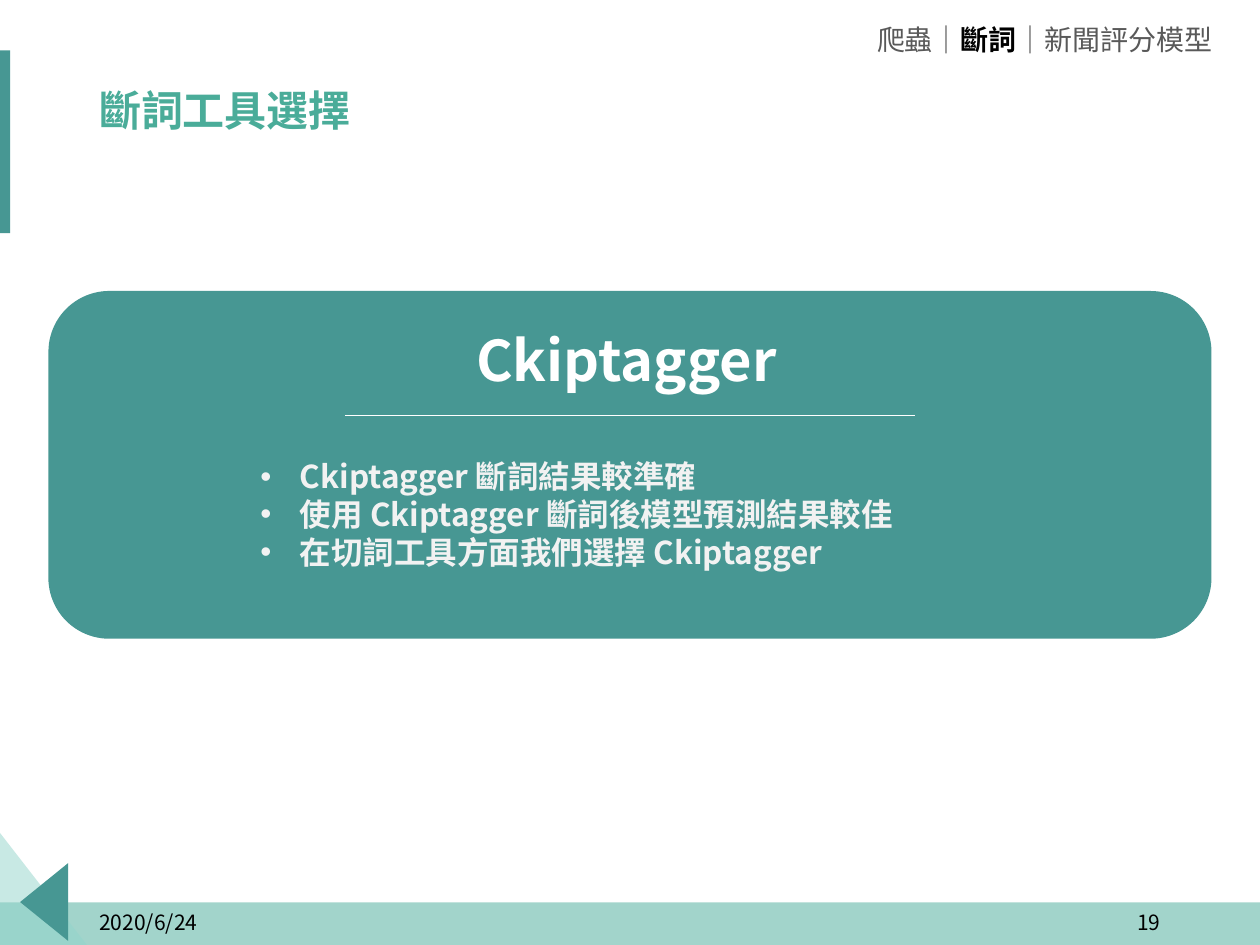
from typing import NamedTuple

from lxml import etree
from pptx import Presentation
from pptx.dml.color import RGBColor
from pptx.enum.shapes import MSO_CONNECTOR, MSO_SHAPE
from pptx.enum.text import MSO_ANCHOR, PP_ALIGN
from pptx.oxml.ns import qn
from pptx.util import Pt

RECTANGLE, ROUNDED = MSO_SHAPE.RECTANGLE, MSO_SHAPE.ROUNDED_RECTANGLE
LEFT, RIGHT = PP_ALIGN.LEFT, PP_ALIGN.RIGHT
TOP, MIDDLE = MSO_ANCHOR.TOP, MSO_ANCHOR.MIDDLE

SLIDE_WIDTH, SLIDE_HEIGHT = 720, 540
MARGIN = 49.7
SC, TC = "Noto Sans CJK SC", "Noto Sans CJK TC"
TEAL, GREEN, MINT = "479793", "4AAC99", "92D4CB"
WHITE, OFF_WHITE, GRAY, BLACK = "FFFFFF", "F2F2F2", "595959", "000000"


class Box(NamedTuple):
    left: float
    top: float
    width: float
    height: float


class Run(NamedTuple):
    text: str
    font: str = SC
    color: str = GRAY
    bold: bool = False


class Triangle(NamedTuple):
    points: list[tuple[float, float]]
    color: str
    alpha: int = 100


BAND = Box(0, 515.7, SLIDE_WIDTH, 24.3)
SIDE_BAR = Box(0, 28.8, 5.8, 104.4)
CARD = Box(27.7, 166.3, 664.6, 198.7)
TRIANGLES = [
    Triangle([(0, 476), (MARGIN, SLIDE_HEIGHT), (0, SLIDE_HEIGHT)], MINT, 50),
    Triangle([(39, 493.2), (39, 537.7), (11.5, 515.5)], TEAL),
]
BREADCRUMB = [
    Run("爬蟲", TC),
    Run("｜"),
    Run("斷詞", TC, BLACK, True),
    Run("｜"),
    Run("新聞評分模型", TC),
]
FINDINGS = [
    "Ckiptagger 斷詞結果較準確",
    "使用 Ckiptagger 斷詞後模型預測結果較佳",
    "在切詞工具方面我們選擇 Ckiptagger",
]


def rgb(color: str) -> RGBColor:
    return RGBColor.from_string(color)


def paint(shape, color: str, alpha: int = 100) -> None:
    shape.shadow.inherit = False
    shape.line.fill.background()
    shape.fill.solid()
    shape.fill.fore_color.rgb = rgb(color)
    if alpha < 100:
        color_element = shape.fill._xPr.find(f".//{qn('a:srgbClr')}")
        etree.SubElement(color_element, qn("a:alpha"), val=str(alpha * 1000))


def add_block(slide, preset, box: Box, color: str, alpha: int = 100):
    shape = slide.shapes.add_shape(preset, *map(Pt, box))
    paint(shape, color, alpha)
    return shape


def add_triangle(slide, triangle: Triangle) -> None:
    start, *others = [(Pt(x), Pt(y)) for x, y in triangle.points]
    builder = slide.shapes.build_freeform(*start)
    builder.add_line_segments(others, close=True)
    paint(builder.convert_to_shape(), triangle.color, triangle.alpha)


def add_rule(slide, left: float, right: float, y: float) -> None:
    line = slide.shapes.add_connector(
        MSO_CONNECTOR.STRAIGHT, Pt(left), Pt(y), Pt(right), Pt(y))
    line.line.color.rgb = rgb(WHITE)
    line.line.width = Pt(0.5)
    etree.SubElement(line._element.spPr, qn("a:effectLst"))


def add_bullet(paragraph, indent: float) -> None:
    properties = paragraph._p.get_or_add_pPr()
    properties.set("marL", str(Pt(indent)))
    properties.set("indent", str(-Pt(indent)))
    etree.SubElement(properties, qn("a:buFont"), typeface="Arial")
    etree.SubElement(properties, qn("a:buChar"), char="•")


def add_text(slide, box: Box, paragraphs: list[list[Run]], *, size: float,
             align=LEFT, anchor=TOP, wrap: bool = True, indent: float = 0,
             line_spacing: float = 1.0, tracking: float = 0) -> None:
    """Write one paragraph per list of runs; an indent makes them bullets."""
    frame = slide.shapes.add_textbox(*map(Pt, box)).text_frame
    frame.word_wrap = wrap
    frame.vertical_anchor = anchor
    for index, runs in enumerate(paragraphs):
        paragraph = frame.add_paragraph() if index else frame.paragraphs[0]
        paragraph.alignment = align
        paragraph.line_spacing = line_spacing
        if indent:
            add_bullet(paragraph, indent)
        for item in runs:
            run = paragraph.add_run()
            run.text = item.text
            run.font.size = Pt(size)
            run.font.bold = item.bold
            run.font.name = item.font
            run.font.color.rgb = rgb(item.color)
            properties = run.font._element
            etree.SubElement(properties, qn("a:ea"), typeface=item.font)
            if tracking:
                properties.set("spc", str(round(tracking * 100)))


def main() -> None:
    presentation = Presentation()
    presentation.slide_width = Pt(SLIDE_WIDTH)
    presentation.slide_height = Pt(SLIDE_HEIGHT)
    slide = presentation.slides.add_slide(presentation.slide_layouts[6])

    add_block(slide, RECTANGLE, BAND, GREEN, 51)
    for triangle in TRIANGLES:
        add_triangle(slide, triangle)
    add_block(slide, RECTANGLE, SIDE_BAR, TEAL)

    footer_width = 162
    for text, left, align in [
        ("2020/6/24", MARGIN, LEFT),
        ("19", SLIDE_WIDTH - MARGIN - footer_width, RIGHT),
    ]:
        add_text(slide, Box(left, 512.6, footer_width, 28.8),
                 [[Run(text, TC, BLACK)]], size=12, align=align, anchor=MIDDLE)

    add_text(slide, Box(491.8, 9.4, 208, 26.6), [BREADCRUMB],
             size=16, align=RIGHT, wrap=False)
    add_text(slide, Box(MARGIN, 41, SLIDE_WIDTH - 2 * MARGIN, 47.5),
             [[Run("斷詞工具選擇", SC, GREEN, True)]], size=24,
             anchor=MIDDLE, line_spacing=0.9, tracking=-0.1)

    card = add_block(slide, ROUNDED, CARD, TEAL)
    card.adjustments[0] = 0.175
    add_text(slide, Box(265, 182.2, 236, 46),
             [[Run("Ckiptagger", SC, WHITE, True)]], size=32)
    add_rule(slide, 197.3, 522.7, 237.4)
    add_text(slide, Box(141.8, 257.8, 534, 94.3),
             [[Run(text, SC, OFF_WHITE, True)] for text in FINDINGS],
             size=18, indent=22.5)

    presentation.save("out.pptx")


if __name__ == "__main__":
    main()
